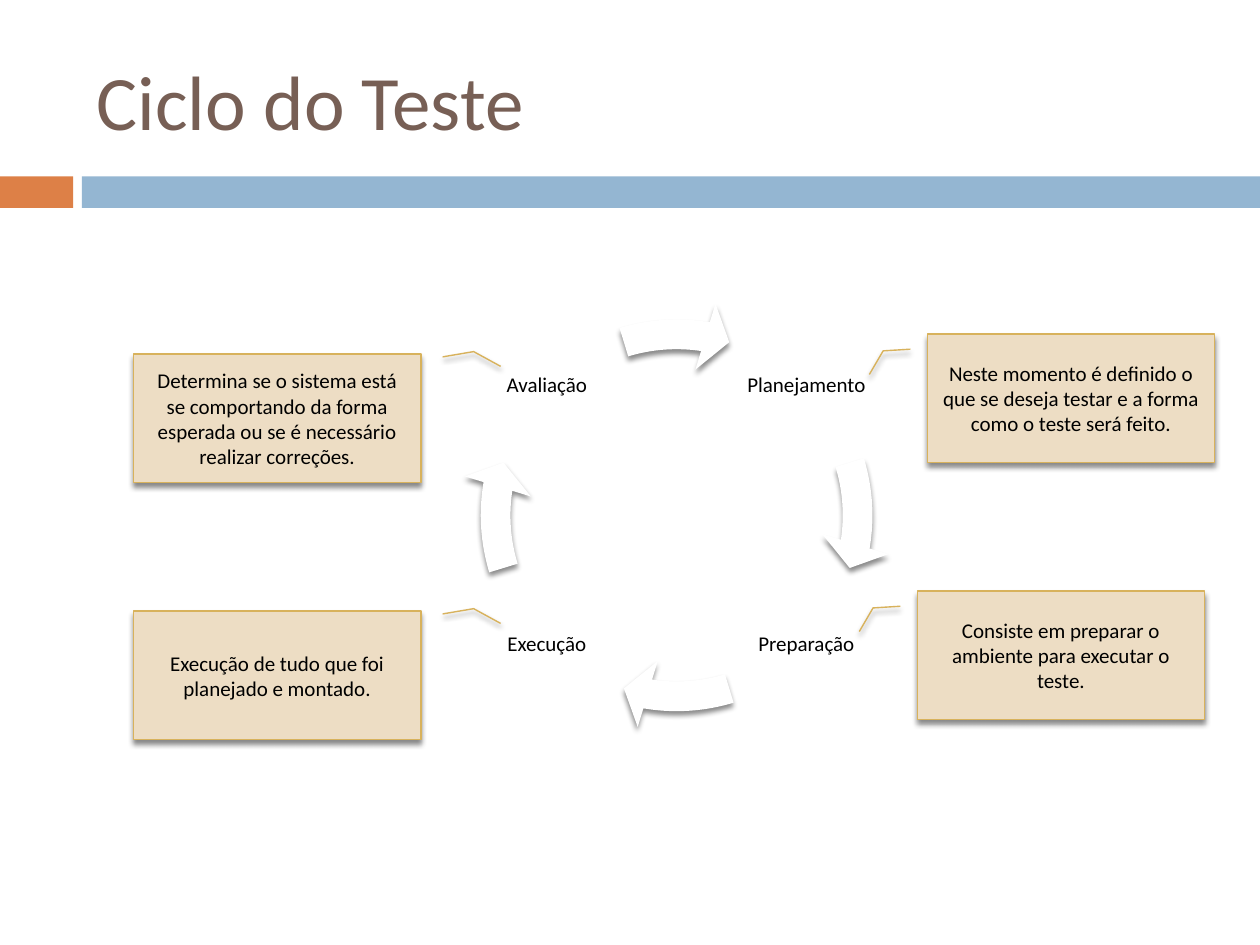
from lxml.etree import SubElement
from pptx import Presentation
from pptx.dml.color import RGBColor
from pptx.enum.shapes import MSO_SHAPE as Shape
from pptx.enum.text import MSO_ANCHOR as Anchor, PP_ALIGN as Align
from pptx.oxml.ns import qn
from pptx.util import Inches, Pt

ORANGE = RGBColor(0xDD, 0x80, 0x47)
BLUE = RGBColor(0x94, 0xB6, 0xD2)
BROWN = RGBColor(0x77, 0x5F, 0x55)
SAND = RGBColor(0xED, 0xDD, 0xC4)
GOLD = RGBColor(0xD8, 0xB2, 0x5C)
WHITE = RGBColor(0xFF, 0xFF, 0xFF)
BLACK = RGBColor(0, 0, 0)

COLS, ROWS = 100, 75  # grid over the slide
CELL = Inches(0.1)

# Clockwise from the upper right: column, row and name of each stage
STAGES = [(1, 0, "Planejamento"), (1, 1, "Preparação"),
          (0, 1, "Execução"), (0, 0, "Avaliação")]
RIGHT = (0.119, -0.059, 0.132, -0.154, 0.316, -0.202)
LEFT = (0.022, 1.076, -0.019, 1.184, 0.096, 1.278)
NOTES = [
    (73.6, 26.5, RIGHT, "Neste momento é definido o que se deseja testar "
                        "e a forma como o teste será feito."),
    (72.8, 46.9, RIGHT, "Consiste em preparar o ambiente para executar o teste."),
    (10.6, 48.5, LEFT, "Execução de tudo que foi planejado e montado."),
    (10.6, 28.1, LEFT, "Determina se o sistema está se comportando da forma "
                       "esperada ou se é necessário realizar correções."),
]


def place(box):
    """Turn a box in grid cells into slide lengths."""
    return [round(n * CELL) for n in box]


def write(shape, text, size, color, align=Align.CENTER):
    frame = shape.text_frame
    frame.text = text
    frame.word_wrap = True
    frame.vertical_anchor = Anchor.MIDDLE
    para = frame.paragraphs[0]
    para.alignment = align
    font = para.runs[0].font
    font.name, font.size, font.color.rgb = "Calibri", Pt(size), color
    return frame


def add_form(slide, kind, box, fill, adjust=()):
    form = slide.shapes.add_shape(kind, *place(box))
    form.shadow.inherit = False
    form.fill.solid()
    form.fill.fore_color.rgb = fill
    form.line.fill.background()
    for i, value in enumerate(adjust):
        form.adjustments[i] = value
    return form


def cast(form):
    """Give the form a soft shadow straight below it."""
    effects = form._element.spPr.find(qn("a:effectLst"))
    outer = SubElement(effects, qn("a:outerShdw"), blurRad=str(Pt(3)),
                       dist=str(Pt(2.4)), dir="5400000", rotWithShape="0")
    tint = SubElement(outer, qn("a:srgbClr"), val="000000")
    SubElement(tint, qn("a:alpha"), val="45000")


def add_header(slide, box, title):
    x, y, w, h = box
    bar, tab, gap = 2.5, 5.8, 6.5
    top = y + h - bar
    add_form(slide, Shape.RECTANGLE, (x, top, tab, bar), ORANGE)
    add_form(slide, Shape.RECTANGLE, (x + gap, top, w - gap, bar), BLUE)
    area = (x + 6.7, y + 2.5, w - 10.8, 10.8)
    write(slide.shapes.add_textbox(*place(area)), title, 44, BROWN, Align.LEFT)


def add_cycle(slide, box):
    x, y, w, h = box
    side, edge = 12.1, 0.75
    for i, (col, row, name) in enumerate(STAGES):
        spot = (x + edge + col * (w - side - 2 * edge),
                y + edge + row * (h - side - 2 * edge), side, side)
        frame = write(slide.shapes.add_textbox(*place(spot)), name, 12, BLACK)
        frame.margin_left = frame.margin_right = Inches(0.02)
        frame.margin_top = frame.margin_bottom = Inches(0.02)
        frame.paragraphs[0].line_spacing = 0.9
        turn = 54 * i  # a quarter turn; a full turn is 216
        angles = (0.069, 4.651, 5.505 + turn, (205.844 + turn) % 216, 0.08)
        cast(add_form(slide, Shape.CIRCULAR_ARROW, box, WHITE, angles))


def add_note(slide, box, leader, text):
    note = add_form(slide, Shape.LINE_CALLOUT_2, box, SAND, leader)
    note.line.color.rgb = GOLD
    note.line.width = Pt(0.79)
    cast(note)
    write(note, text, 12, BLACK)


def main():
    deck = Presentation()
    deck.slide_width, deck.slide_height = COLS * CELL, ROWS * CELL
    slide = deck.slides.add_slide(deck.slide_layouts[6])
    add_header(slide, (0, 0, COLS, 16.5), "Ciclo do Teste")
    add_cycle(slide, (36.6, 23.8, 34.2, 34.2))
    for x, y, leader, text in NOTES:
        add_note(slide, (x, y, 22.8, 10.2), leader, text)
    deck.save("out.pptx")


if __name__ == "__main__":
    main()
